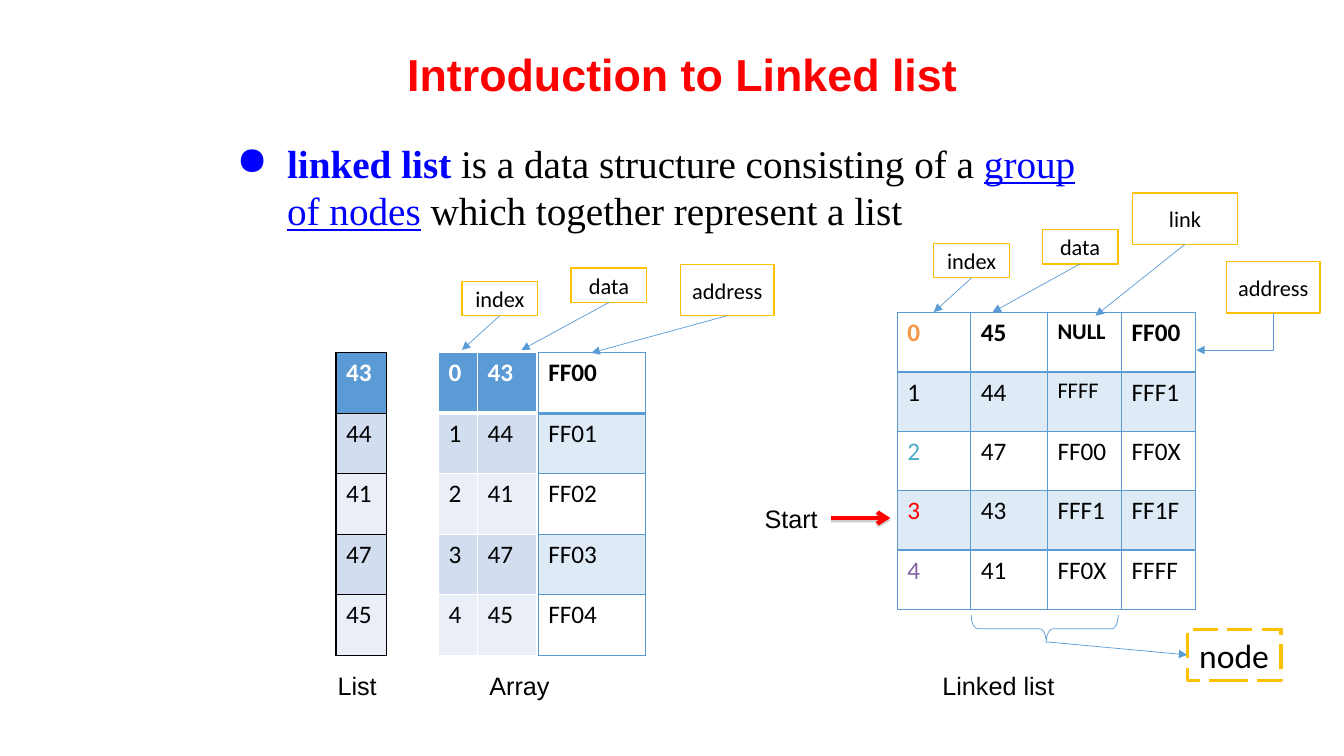
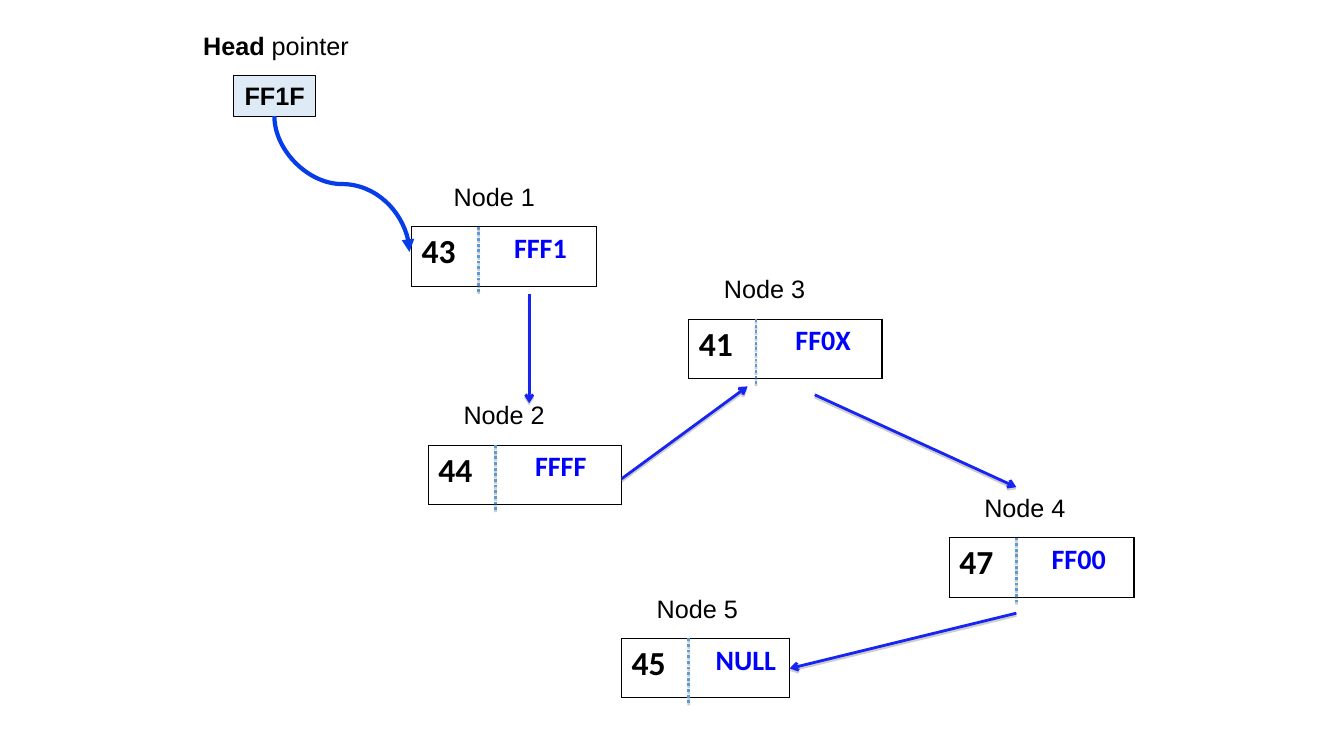
from lxml import etree
from pptx import Presentation
from pptx.dml.color import RGBColor
from pptx.enum.dml import MSO_LINE_DASH_STYLE as Dash
from pptx.enum.shapes import MSO_CONNECTOR_TYPE as Connector, MSO_SHAPE as Preset
from pptx.enum.text import MSO_AUTO_SIZE as AutoSize, PP_ALIGN as Align
from pptx.oxml.ns import qn
from pptx.util import Pt

COLORS = {
    "black": "000000",
    "white": "FFFFFF",
    "red": "FF0000",
    "blue": "0000FF",
    "link_arrow": "1724F2",
    "head_arrow": "063DE8",
    "steel": "5B9BD5",
    "band_dark": "D2DEEF",
    "band_light": "EAEFF7",
    "pale": "DEEBF7",
    "gold": "FFC000",
    "orange": "F79646",
    "teal": "4BACC6",
    "purple": "8064A2",
    "shadow": "808080",
}
NO_TABLE_STYLE = "{2D5ABB26-0587-4C30-8999-92F81FD0307C}"
LABEL_HEIGHT = 29
NODE_HEIGHT = 42.5


def rgb(name):
    return RGBColor.from_string(COLORS[name])


def points(*values):
    return [Pt(value) for value in values]


def add_xml(parent, tag, **attributes):
    return etree.SubElement(parent, qn(tag),
                            {key: str(value) for key, value in attributes.items()})


def write(text_frame, text, size=18, font="Arial", color="black", bold=False,
          underline=False, align=None):
    """Write a string, or a list of (string, format overrides) runs."""
    paragraph = text_frame.paragraphs[0]
    if align is not None:
        paragraph.alignment = align
    base = {"size": size, "font": font, "color": color,
            "bold": bold, "underline": underline}
    runs = [(text, {})] if isinstance(text, str) else text
    for string, overrides in runs:
        style = {**base, **overrides}
        run = paragraph.add_run()
        run.text = string
        run.font.size = Pt(style["size"])
        run.font.name = style["font"]
        run.font.color.rgb = rgb(style["color"])
        run.font.bold = style["bold"]
        run.font.underline = style["underline"]
    return paragraph


def add_label(slide, text, left, top, width, height=LABEL_HEIGHT, wrap=True, **style):
    box = slide.shapes.add_textbox(*points(left, top, width, height))
    box.text_frame.word_wrap = wrap
    box.text_frame.auto_size = AutoSize.SHAPE_TO_FIT_TEXT
    return write(box.text_frame, text, **style)


def add_bullet(paragraph, character, indent):
    properties = paragraph._p.get_or_add_pPr()
    properties.set("marL", str(Pt(indent)))
    properties.set("indent", str(Pt(-indent)))
    add_xml(properties, "a:buChar", char=character)


def add_preset(slide, preset, frame, fill, line, width):
    shape = slide.shapes.add_shape(preset, *points(*frame))
    shape.shadow.inherit = False
    if fill:
        shape.fill.solid()
        shape.fill.fore_color.rgb = rgb(fill)
    else:
        shape.fill.background()
    shape.line.color.rgb = rgb(line)
    shape.line.width = Pt(width)
    return shape


def add_tag(slide, text, frame, size=16, width=1):
    tag = add_preset(slide, Preset.RECTANGLE, frame, "white", "gold", width)
    write(tag.text_frame, text, size=size, font="Calibri", align=Align.CENTER)
    return tag


def format_line(connector, color, width, head=None, shadow=False):
    connector.line.color.rgb = rgb(color)
    connector.line.width = Pt(width)
    properties = connector.element.spPr
    if head:
        add_xml(properties.find(qn("a:ln")), "a:tailEnd", type=head)
    effects = add_xml(properties, "a:effectLst")
    if shadow:
        outer = add_xml(effects, "a:outerShdw", blurRad=0, dist=Pt(1.6),
                        dir=5400000, rotWithShape=0)
        tint = add_xml(outer, "a:srgbClr", val=COLORS["shadow"])
        add_xml(tint, "a:alpha", val=38000)
    return connector


def add_line(slide, start, end, color="steel", width=0.5, **style):
    connector = slide.shapes.add_connector(Connector.STRAIGHT, *points(*start, *end))
    return format_line(connector, color, width, **style)


def add_falling_connector(slide, kind, start, end, color, width, preset=None):
    """Draw a connector that leaves its start downwards, as a quarter turn."""
    (x1, y1), (x2, y2) = start, end
    middle_x, middle_y = (x1 + x2) / 2, (y1 + y2) / 2
    half_width, half_height = abs(y2 - y1) / 2, abs(x2 - x1) / 2
    side = -1 if x2 < x1 else 1
    connector = slide.shapes.add_connector(kind, *points(
        middle_x + side * half_width, middle_y - half_height,
        middle_x - side * half_width, middle_y + half_height))
    properties = connector.element.spPr
    properties.find(qn("a:xfrm")).set("rot", "5400000" if side < 0 else "16200000")
    if preset:
        properties.find(qn("a:prstGeom")).set("prst", preset)
    return format_line(connector, color, width, head="triangle")


def paint_cell(cell, text, fill, borders, **style):
    """Fill a cell; borders maps L, R, T, B to (color, width)."""
    write(cell.text_frame, text, font="Calibri", **style)
    if fill:
        cell.fill.solid()
        cell.fill.fore_color.rgb = rgb(fill)
    else:
        cell.fill.background()
    properties = cell._tc.get_or_add_tcPr()
    sides = [side for side in "LRTB" if side in borders]
    for position, side in enumerate(sides):
        color, width = borders[side]
        line = add_xml(properties, f"a:ln{side}", w=Pt(width))
        add_xml(add_xml(line, "a:solidFill"), "a:srgbClr", val=COLORS[color])
        properties.insert(position, line)


def add_plain_table(slide, left, top, column_widths, row_height, row_count):
    frame = slide.shapes.add_table(
        row_count, len(column_widths),
        *points(left, top, sum(column_widths), row_height * row_count))
    table = frame.table
    table.first_row = table.horz_banding = False
    table._tbl.tblPr.find(qn("a:tableStyleId")).text = NO_TABLE_STYLE
    for column, width in zip(table.columns, column_widths):
        column.width = Pt(width)
    for row in table.rows:
        row.height = Pt(row_height)
    return table


def add_banded_table(slide, left, top, column_widths, row_height, rows, border,
                     header_fill=None, header_color="black", header_rule=1,
                     bands=("pale", None), special=None):
    """Draw a table with a header row; special maps (row, column) to a format."""
    table = add_plain_table(slide, left, top, column_widths, row_height, len(rows))
    for r, row in enumerate(rows):
        fill = bands[(r - 1) % 2] if r else header_fill
        borders = {side: (border, 1) for side in "LRTB"}
        if r == 0:
            borders["B"] = (border, header_rule)
        elif r == 1:
            borders["T"] = (border, header_rule)
        for c, text in enumerate(row):
            style = {"color": "black" if r else header_color, "bold": r == 0}
            style.update((special or {}).get((r, c), {}))
            paint_cell(table.cell(r, c), text, fill, borders, **style)


def add_node(slide, name, data, link, left, top, width, label_left):
    table = add_plain_table(slide, left, top, [width / 2] * 2, NODE_HEIGHT, 1)
    edge = ("black", 1)
    paint_cell(table.cell(0, 0), data, "white", {"L": edge, "T": edge, "B": edge},
               size=24, bold=True)
    paint_cell(table.cell(0, 1), link, "white", {"R": edge, "T": edge, "B": edge},
               size=20, bold=True, color="blue")
    divider = add_line(slide, (left + 48, top), (left + 48, top + 48),
                       width=2, shadow=True)
    divider.line.dash_style = Dash.ROUND_DOT
    add_label(slide, name, label_left, top - 36, 73.5, wrap=False)


def build_introduction(slide):
    definition = add_label(slide, [
        ("linked list ", {"color": "blue", "bold": True}),
        ("is a data structure consisting of a ", {}),
        ("group of nodes", {"color": "blue", "underline": True}),
        (" which together represent a list", {}),
    ], 162, 96, 642, 143, size=28, font="Times New Roman")
    add_bullet(definition, "●", 36)
    add_label(slide, "Introduction to Linked list ", 150, 30, 684, 46,
              size=32, color="red", bold=True, align=Align.CENTER)

    values = ["43", "44", "41", "47", "45"]
    blue_look = {"header_fill": "steel", "header_color": "white",
                 "bands": ("band_dark", "band_light")}
    add_banded_table(slide, 240, 252, [36], 43.2, [[value] for value in values],
                     "black", **blue_look)
    add_banded_table(slide, 313.2, 252, [28, 42], 43.2,
                     [[str(i), value] for i, value in enumerate(values)],
                     "white", header_rule=3, **blue_look)
    add_banded_table(slide, 384.5, 252, [76.5], 43.2,
                     [[f"FF0{i}"] for i in range(5)], "steel", header_rule=2)
    add_banded_table(slide, 641, 223.3, [52.5, 54.7, 53, 53], 42.4, [
        ["0", "45", "NULL", "FF00"],
        ["1", "44", "FFFF", "FFF1"],
        ["2", "47", "FF00", "FF0X"],
        ["3", "43", "FFF1", "FF1F"],
        ["4", "41", "FF0X", "FFFF"],
    ], "steel", header_rule=2, special={
        (0, 0): {"color": "orange"}, (2, 0): {"color": "teal"},
        (3, 0): {"color": "red"}, (4, 0): {"color": "purple"},
        (0, 2): {"size": 16}, (1, 2): {"size": 16},
    })

    add_label(slide, "List", 234, 475, 43, wrap=False)
    add_label(slide, "Array", 342.5, 475, 59, wrap=False)
    add_label(slide, "Linked list", 666, 475, 95)
    add_label(slide, "Start", 539, 356, 54)
    add_line(slide, (593.5, 370), (636, 370), "red", 3, head="arrow", shadow=True)

    for text, frame, tip in [
        ("index", (330, 201, 54, 24.5), (330, 250)),
        ("data", (408, 191.5, 54, 24.5), (372.5, 250)),
        ("address", (486, 189, 67, 36.5), (422.5, 252)),
        ("index", (667, 174, 54, 24.5), (667, 223)),
        ("data", (744.5, 164, 54, 24.5), (709, 223)),
        ("link", (809, 138, 75, 36.5), (782.5, 225.5)),
    ]:
        tag = add_tag(slide, text, frame)
        add_line(slide, frame[:2], tip, head="triangle").begin_connect(tag, 2)
    add_tag(slide, "address", (876, 187, 67, 36.5))
    add_falling_connector(slide, Connector.ELBOW, (909.5, 223.5), (854.5, 250),
                          "steel", 0.5, preset="bentConnector2")

    brace = add_preset(slide, Preset.RIGHT_BRACE, (736.5, 396.7, 19.5, 105),
                       None, "steel", 0.5)
    brace.rotation = 90
    brace.adjustments[0], brace.adjustments[1] = 0.24, 0.49
    node = add_tag(slide, "node", (848, 449.5, 67, 36.5), size=24, width=2.25)
    node.line.dash_style = Dash.LONG_DASH
    add_line(slide, (747.5, 458.5), (848, 467.75), head="triangle").end_connect(node, 1)


def build_node_chain(slide):
    add_label(slide, [("Head", {"bold": True}), (" pointer", {})], 138, 18, 204)
    head = add_preset(slide, Preset.RECTANGLE, (167, 54, 58.5, LABEL_HEIGHT),
                      "pale", "black", 0.75)
    head.text_frame.word_wrap = False
    write(head.text_frame, "FF1F", bold=True)

    for node in [
        ("Node 1", "43", "FFF1", 294, 162, 132, 317),
        ("Node 2", "44", "FFFF", 306, 318, 138, 324),
        ("Node 3", "41", "FF0X", 492, 228, 138, 510),
        ("Node 4", "47", "FF00", 678, 384, 132, 696),
        ("Node 5", "45", "NULL", 444, 456, 120, 462),
    ]:
        add_node(slide, *node)

    add_falling_connector(slide, Connector.CURVE, (196, 83), (292.5, 180),
                          "head_arrow", 3)
    for start, end in [
        ((378, 210), (378, 288)),
        ((444, 342), (534, 276)),
        ((582, 282), (726, 348)),
        ((726, 438), (564, 477.5)),
    ]:
        add_line(slide, start, end, "link_arrow", 2, head="arrow", shadow=True)


def main():
    presentation = Presentation()
    presentation.slide_width, presentation.slide_height = points(960, 540)
    blank = presentation.slide_layouts[6]
    for build in (build_introduction, build_node_chain):
        build(presentation.slides.add_slide(blank))
    presentation.save("out.pptx")


if __name__ == "__main__":
    main()
